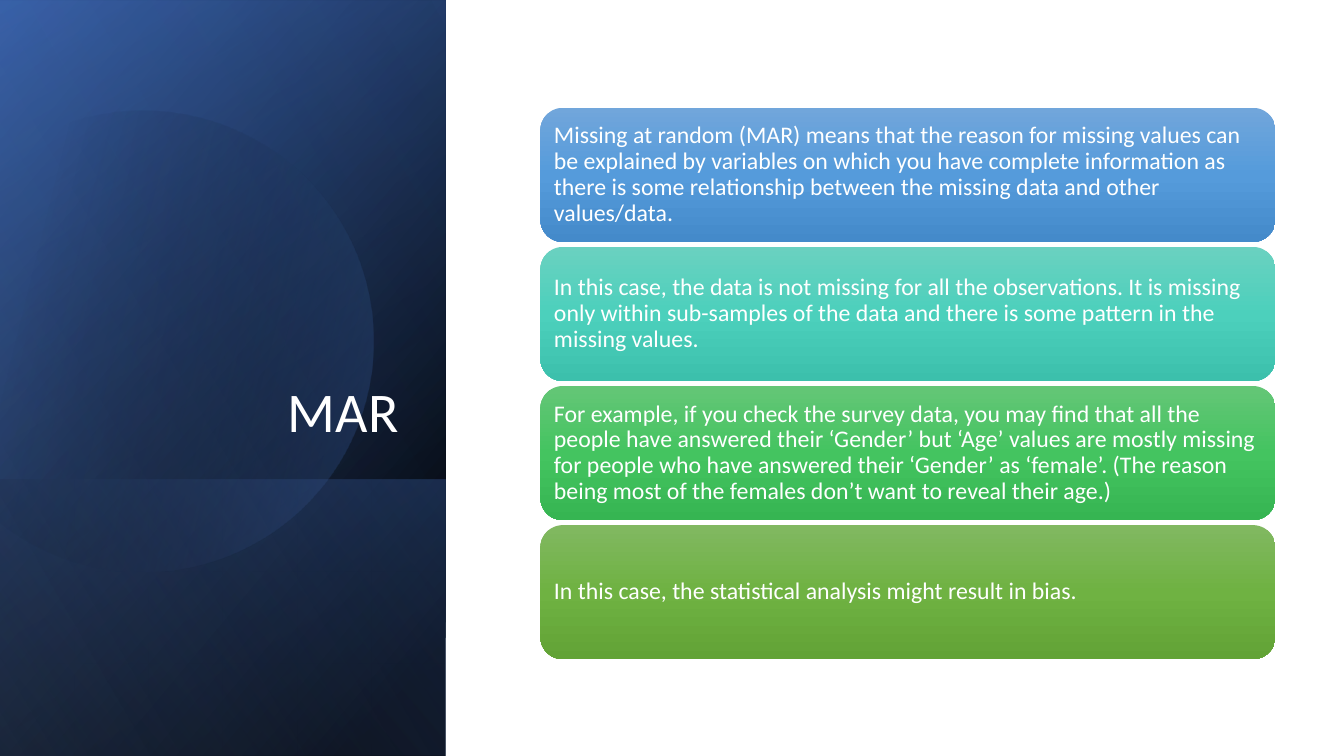
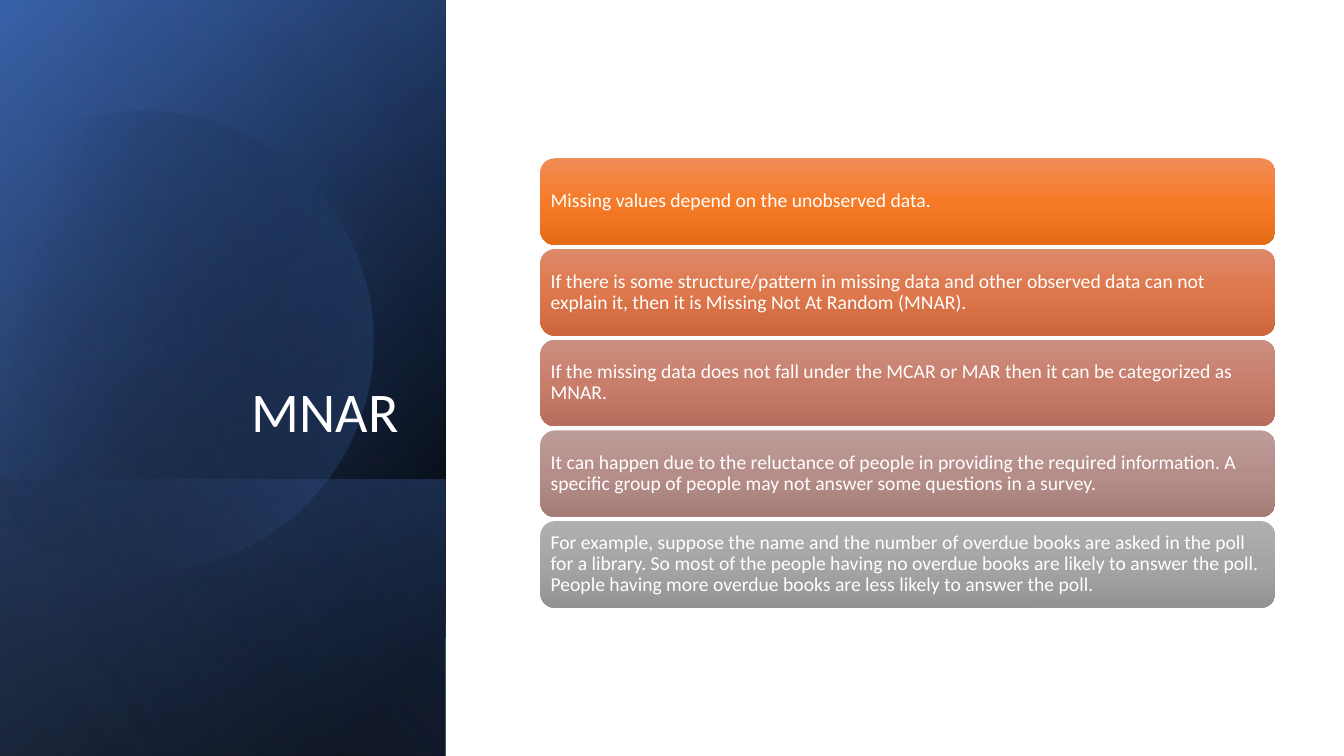
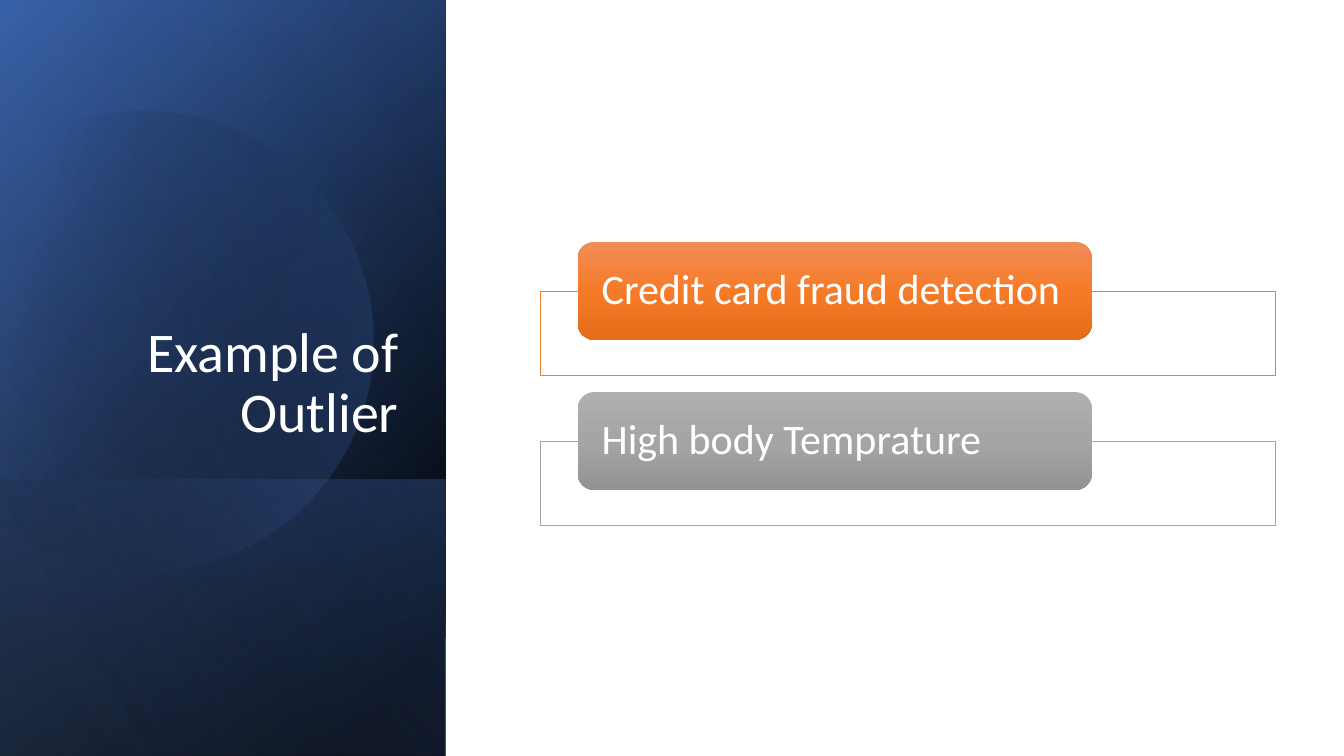
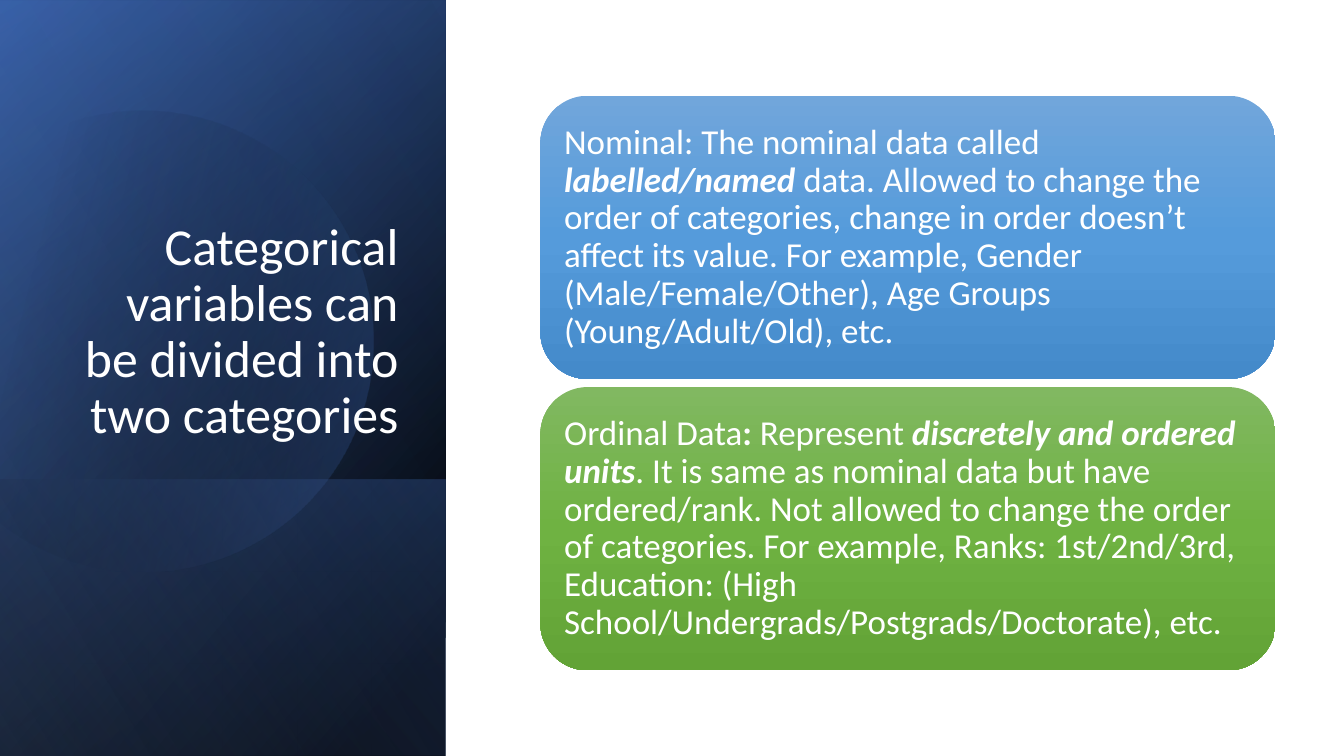
import math

from lxml import etree
from pptx import Presentation
from pptx import util as u
from pptx.dml.color import RGBColor
from pptx.enum import shapes, text
from pptx.oxml.ns import qn

EMU_PER_PX = 9144
SLIDE_WIDTH, SLIDE_HEIGHT = 1333, 750
PANEL_WIDTH = 442
CARD_LEFT, CARD_WIDTH = 536, 729
FONT = "Calibri"

COLORS = {
    "white": "FFFFFF",
    "black": "000000",
    "navy": "2F5597",
    "blue": "4472C4",
    "pale": "8FAADC",
    "orange line": "ED7D31",
    "gray line": "A5A5A5",
}

CARD_COLORS = {
    "blue": ("71A6DB", "559BDB", "448ACA"),
    "teal": ("6AD1C0", "4CD0BC", "3CC0AC"),
    "green": ("64C677", "44C460", "36B552"),
    "olive": ("81B861", "6FB242", "62A336"),
    "orange": ("F18C57", "F67B28", "E56C19"),
    "rust": ("DD8A6A", "DE774B", "CD673B"),
    "rose": ("CB8F81", "C97E6B", "B76D5B"),
    "mauve": ("BC9C99", "B68E89", "A47C78"),
    "gray": ("AFAFAF", "A5A5A5", "939393"),
}


def px(length):
    return u.Emu(round(length * EMU_PER_PX))


def rgb(name):
    return RGBColor.from_string(COLORS[name])


def write_text(shape, content, size, color="white", align="LEFT", anchor="MIDDLE", inset=(10, 5)):
    frame = shape.text_frame
    frame.word_wrap = True
    frame.vertical_anchor = getattr(text.MSO_ANCHOR, anchor)
    frame.margin_left = frame.margin_right = px(inset[0])
    frame.margin_top = frame.margin_bottom = px(inset[1])
    paragraph = frame.paragraphs[0]
    paragraph.alignment = getattr(text.PP_ALIGN, align)
    paragraph.line_spacing = 0.9
    runs = [(content, "")] if isinstance(content, str) else content
    for words, style in runs:
        run = paragraph.add_run()
        run.text = words
        run.font.name = FONT
        run.font.size = u.Pt(size)
        run.font.color.rgb = rgb(color)
        run.font.bold = "b" in style
        run.font.italic = "i" in style


def fill_gradient(shape, stops, angle):
    gradient = etree.Element(qn("a:gradFill"), rotWithShape="1")
    stop_list = etree.SubElement(gradient, qn("a:gsLst"))
    for position, color, opacity in stops:
        stop = etree.SubElement(stop_list, qn("a:gs"), pos=str(position * 1000))
        value = etree.SubElement(stop, qn("a:srgbClr"), val=color)
        if opacity < 100:
            etree.SubElement(value, qn("a:alpha"), val=str(opacity * 1000))
    etree.SubElement(gradient, qn("a:lin"), ang=str(angle * 60000), scaled="0")
    shape.fill.background()
    properties = shape._element.spPr
    properties.replace(properties.find(qn("a:noFill")), gradient)


class Deck:
    def __init__(self):
        self.presentation = Presentation()
        self.presentation.slide_width = px(SLIDE_WIDTH)
        self.presentation.slide_height = px(SLIDE_HEIGHT)
        self.slide = None

    def add_slide(self, title, title_size=40):
        self.slide = self.presentation.slides.add_slide(self.presentation.slide_layouts[6])
        self.side_panel()
        box = self.slide.shapes.add_textbox(px(64), px(184), px(341), px(262))
        write_text(box, title, title_size, align="RIGHT", anchor="BOTTOM")

    def shape(self, kind, left, top, width, height):
        shape = self.slide.shapes.add_shape(
            getattr(shapes.MSO_SHAPE, kind), px(left), px(top), px(width), px(height))
        shape.shadow.inherit = False
        shape.line.fill.background()
        return shape

    def panel_layer(self, length, center_y, angle, *stops):
        layer = self.shape("RECTANGLE", (PANEL_WIDTH - length) / 2, center_y - PANEL_WIDTH / 2,
                           length, PANEL_WIDTH)
        layer.rotation = 90
        layer._element.spPr.find(qn("a:xfrm")).set("flipH", "1")
        fill_gradient(layer, [(pos, COLORS[color], opacity) for pos, color, opacity in stops], angle)

    def panel_disc(self):
        center_x, center_y, radius = 141, 334, 229
        points = [(px(center_x + radius * math.cos(math.radians(degrees))),
                   px(center_y + radius * math.sin(math.radians(degrees))))
                  for degrees in range(-117, 151, 3)]
        builder = self.slide.shapes.build_freeform(*points[0])
        builder.add_line_segments(points[1:], close=True)
        disc = builder.convert_to_shape()
        disc.shadow.inherit = False
        disc.line.fill.background()
        disc.rotation = 343.9
        fill_gradient(disc, [(29, COLORS["black"], 0), (100, COLORS["blue"], 43)], 30)

    def side_panel(self):
        middle = SLIDE_HEIGHT / 2
        self.panel_layer(SLIDE_HEIGHT, middle, 50, (8, "black", 100), (100, "navy", 100))
        self.panel_layer(SLIDE_HEIGHT, middle + 1, 30, (0, "black", 0), (99, "blue", 46))
        self.panel_layer(274, 613, 130, (2, "blue", 29), (100, "black", 30))
        self.panel_disc()
        self.panel_layer(SLIDE_HEIGHT, middle, 120, (0, "black", 0), (99, "pale", 11))

    def card(self, content, color, left, top, width, height, size, inset):
        card = self.shape("ROUNDED_RECTANGLE", left, top, width, height)
        stops = [(pos, value, 100) for pos, value in zip((0, 50, 100), CARD_COLORS[color])]
        fill_gradient(card, stops, 90)
        write_text(card, content, size, inset=inset)

    def stack_tops(self, count, height, gap):
        total = count * height + (count - 1) * gap
        first = (761 - total) // 2
        return [first + index * (height + gap) for index in range(count)]

    def card_stack(self, cards, height, gap, size, inset):
        for (color, content), top in zip(cards, self.stack_tops(len(cards), height, gap)):
            self.card(content, color, CARD_LEFT, top, CARD_WIDTH, height, size, (inset, inset))

    def tabbed_boxes(self, tabs):
        for (color, content), top in zip(tabs, self.stack_tops(len(tabs), 132, 17)):
            box = self.shape("RECTANGLE", CARD_LEFT, top + 49, CARD_WIDTH, 83)
            box.fill.solid()
            box.fill.fore_color.rgb = rgb("white")
            box.line.color.rgb = rgb(color + " line")
            box.line.width = u.Pt(0.5)
            self.card(content, color, CARD_LEFT + 37, top, 510, 97, 30, (19, 0))


def main():
    deck = Deck()

    deck.add_slide("MAR")
    deck.card_stack([
        ("blue", "Missing at random (MAR) means that the reason for missing values can be explained by variables on which you have complete information as there is some relationship between the missing data and other values/data."),
        ("teal", "In this case, the data is not missing for all the observations. It is missing only within sub-samples of the data and there is some pattern in the missing values."),
        ("green", "For example, if you check the survey data, you may find that all the people have answered their ‘Gender’ but ‘Age’ values are mostly missing for people who have answered their ‘Gender’ as ‘female’. (The reason being most of the females don’t want to reveal their age.)"),
        ("olive", "In this case, the statistical analysis might result in bias."),
    ], height=133, gap=5, size=17, inset=7)

    deck.add_slide("MNAR")
    deck.card_stack([
        ("orange", "Missing values depend on the unobserved data."),
        ("rust", "If there is some structure/pattern in missing data and other observed data can not explain it, then it is Missing Not At Random (MNAR)."),
        ("rose", "If the missing data does not fall under the MCAR or MAR then it can be categorized as MNAR."),
        ("mauve", "It can happen due to the reluctance of people in providing the required information. A specific group of people may not answer some questions in a survey."),
        ("gray", "For example, suppose the name and the number of overdue books are asked in the poll for a library. So most of the people having no overdue books are likely to answer the poll. People having more overdue books are less likely to answer the poll."),
    ], height=86, gap=4, size=14, inset=6)

    deck.add_slide("Example of Outlier")
    deck.tabbed_boxes([
        ("orange", "Credit card fraud detection"),
        ("gray", "High body Temprature"),
    ])

    deck.add_slide("Categorical variables can be divided into two categories", title_size=37)
    deck.card_stack([
        ("blue", [
            ("Nominal: The nominal data called", ""),
            (" labelled/named", "bi"),
            (" data. Allowed to change the order of categories, change in order doesn’t affect its value. For example, Gender (Male/Female/Other), Age Groups (Young/Adult/Old), etc.", ""),
        ]),
        ("olive", [
            ("Ordinal Data", ""),
            (":", "b"),
            (" Represent ", ""),
            ("discretely and ordered units", "bi"),
            (". It is same as nominal data but have ordered/rank. Not allowed to change the order of categories. For example, Ranks: 1st/2nd/3rd, Education: (High School/Undergrads/Postgrads/Doctorate), etc.", ""),
        ]),
    ], height=281, gap=8, size=25, inset=10)

    deck.presentation.save("out.pptx")


if __name__ == "__main__":
    main()
